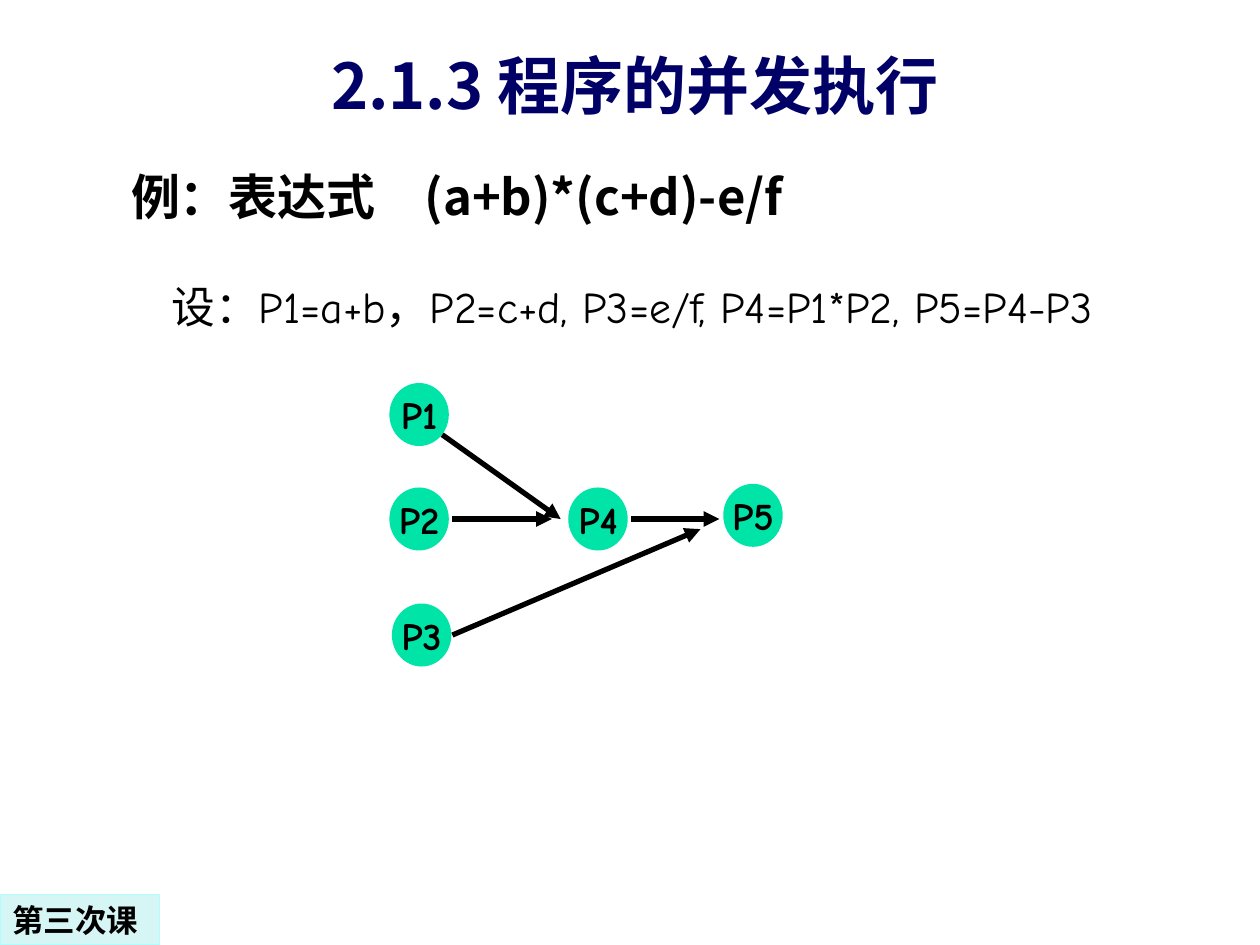
"""Build the slide on concurrent execution, with its precedence graph of P1 to P5."""
from dataclasses import dataclass

from lxml import etree
from pptx import Presentation
from pptx.dml.color import RGBColor
from pptx.enum import shapes, text
from pptx.oxml import ns
from pptx.util import Pt


@dataclass(frozen=True)
class Theme:
    ink: RGBColor = RGBColor(0x00, 0x00, 0x00)
    navy: RGBColor = RGBColor(0x00, 0x00, 0x66)
    node: RGBColor = RGBColor(0x00, 0xE4, 0xA8)
    label_fill: RGBColor = RGBColor(0xD6, 0xF5, 0xF5)
    label_line: RGBColor = RGBColor(0xAD, 0xFF, 0xFF)
    heading_size: int = 36
    example_size: int = 28
    body_size: int = 25
    node_size: int = 22
    label_size: int = 18
    chinese_font: str = "Noto Sans CJK SC"
    latin_font: str = "Comic Neue"
    label_font: str = "DejaVu Sans"


def set_values(target, values):
    for name, value in values.items():
        setattr(target, name, value)


def write(shape, words, size, font, bold=True, color=Theme.ink, align=text.PP_ALIGN.LEFT,
          anchor=text.MSO_ANCHOR.MIDDLE, wrap=True):
    set_values(shape.text_frame, {"word_wrap": wrap, "vertical_anchor": anchor,
                                  "auto_size": text.MSO_AUTO_SIZE.NONE})
    paragraph = shape.text_frame.paragraphs[0]
    paragraph.alignment = align
    run = paragraph.add_run()
    run.text = words
    set_values(run.font, {"name": font, "size": Pt(size), "bold": bold})
    run.font.color.rgb = color
    east_asian = etree.SubElement(run.font._element, ns.qn("a:ea"))
    east_asian.set("typeface", theme.chinese_font)


theme = Theme()
presentation = Presentation()
set_values(presentation, {"slide_width": Pt(720), "slide_height": Pt(540)})
slide = presentation.slides.add_slide(presentation.slide_layouts[0])

example = slide.shapes.title
set_values(example, {"left": Pt(67.7), "top": Pt(73.4), "width": Pt(576), "height": Pt(59)})
write(example, "例：表达式　(a+b)*(c+d)-e/f", theme.example_size, theme.chinese_font,
      anchor=text.MSO_ANCHOR.BOTTOM)

definitions = slide.placeholders[1]
set_values(definitions, {"left": Pt(90.7), "top": Pt(156.2), "width": Pt(592.6), "height": Pt(41.8)})
write(definitions, "设：P1=a+b，P2=c+d, P3=e/f, P4=P1*P2, P5=P4-P3", theme.body_size,
      theme.latin_font, bold=False, anchor=text.MSO_ANCHOR.TOP)

nodes = {"P1": (222.5, 218.9), "P2": (222.5, 278.6), "P3": (223.9, 344.9),
         "P4": (324.7, 278.6), "P5": (413.3, 276.5)}
for name, (left, top) in nodes.items():
    node = slide.shapes.add_shape(shapes.MSO_SHAPE.OVAL, Pt(left), Pt(top), Pt(34), Pt(36))
    node.shadow.inherit = False
    node.fill.solid()
    node.fill.fore_color.rgb = theme.node
    node.line.fill.background()
    write(node, name, theme.node_size, theme.latin_font, align=text.PP_ALIGN.CENTER, wrap=False)

arrows = [(252.7, 248.4, 320.4, 296.6), (258.5, 296.6, 315.4, 296.6),
          (360.7, 296.6, 411.1, 296.6), (258.5, 362.9, 400.3, 302.4)]
for ends in arrows:
    arrow = slide.shapes.add_connector(shapes.MSO_CONNECTOR.STRAIGHT, *map(Pt, ends))
    arrow.line.color.rgb = theme.ink
    arrow.line.width = Pt(3)
    line = arrow.line._get_or_add_ln()
    etree.SubElement(line, ns.qn("a:tailEnd")).set("type", "triangle")
    etree.SubElement(arrow._element.spPr, ns.qn("a:effectLst"))

heading = slide.shapes.add_textbox(Pt(91.4), Pt(25.9), Pt(542.9), Pt(47.5))
write(heading, "2.1.3 程序的并发执行", theme.heading_size, theme.chinese_font, color=theme.navy,
      align=text.PP_ALIGN.CENTER, anchor=text.MSO_ANCHOR.BOTTOM)

label = slide.shapes.add_shape(shapes.MSO_SHAPE.RECTANGLE, Pt(0), Pt(511.2), Pt(91.4), Pt(28.8))
label.shadow.inherit = False
label.fill.solid()
label.fill.fore_color.rgb = theme.label_fill
label.line.color.rgb = theme.label_line
label.line.width = Pt(0.75)
write(label, "第三次课", theme.label_size, theme.label_font)

presentation.save("out.pptx")
